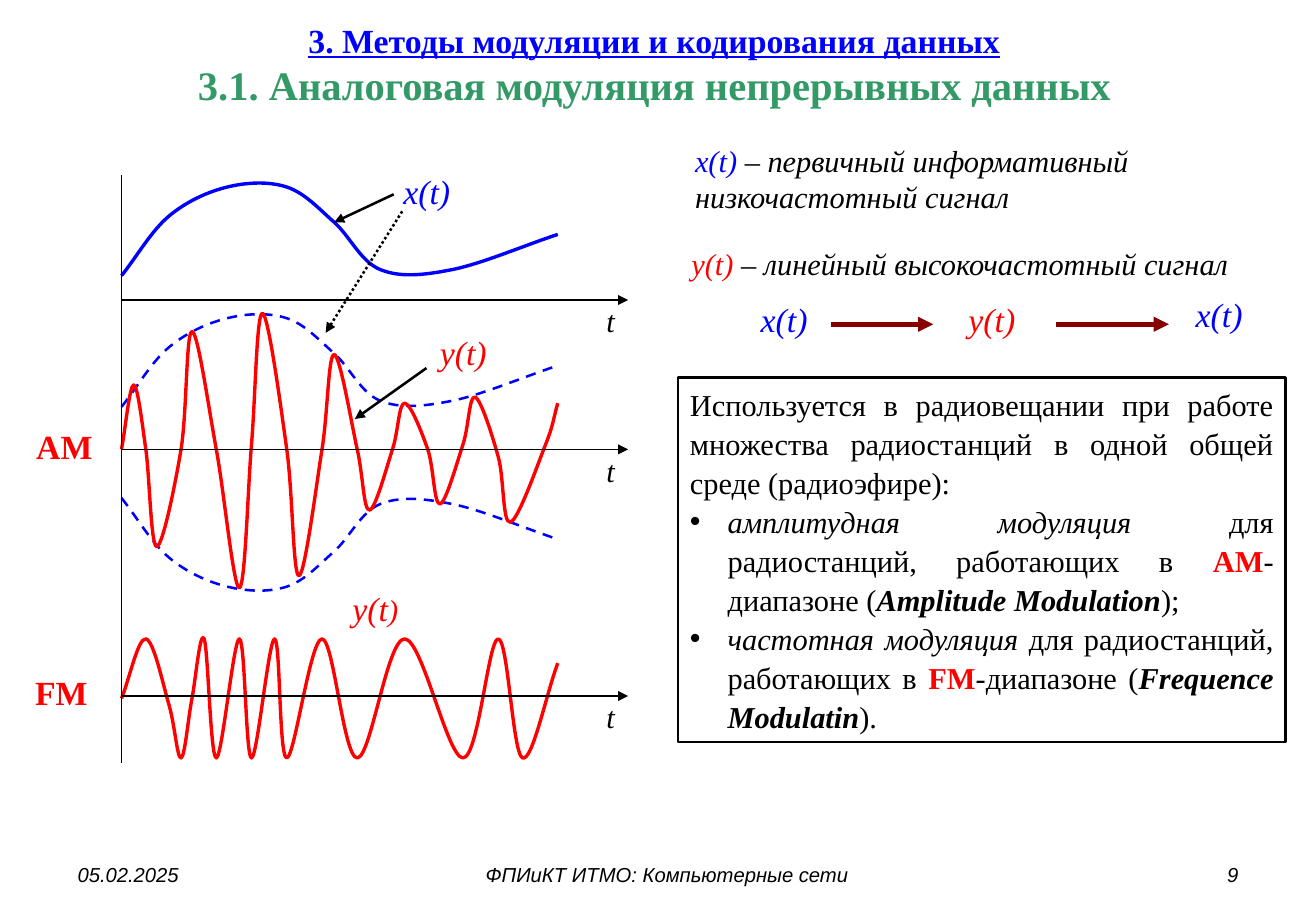
from dataclasses import dataclass

from lxml.etree import SubElement
from pptx import Presentation
from pptx.dml.color import RGBColor
from pptx.enum.dml import MSO_LINE
from pptx.enum.shapes import MSO_CONNECTOR, MSO_SHAPE
from pptx.enum.text import MSO_ANCHOR, MSO_AUTO_SIZE, PP_ALIGN
from pptx.oxml.ns import qn
from pptx.util import Inches, Pt


@dataclass(frozen=True)
class Theme:
    serif: str = "Times New Roman"
    sans: str = "Arial"
    black: str = "000000"
    white: str = "FFFFFF"
    blue: str = "0000FF"
    red: str = "FF0000"
    green: str = "339966"
    maroon: str = "860000"
    heading: int = 24
    label: int = 20
    body: int = 18
    footer: int = 12
    axis_width: float = 0.75
    thin: float = 1.5
    curve: float = 2
    thick: float = 3


THEME = Theme()
TIGHT = (0.02, 0.01)

# Knots: distance along the time axis, height above that axis
PRIMARY = [(0, 0.2), (0.39, 0.69), (0.87, 0.93), (1.36, 0.93),
           (1.75, 0.64), (2.13, 0.25), (2.72, 0.25), (3.59, 0.54)]
AM_WAVE = [(0, 0), (0.1, 0.53), (0.2, 0), (0.29, -0.8), (0.49, 0), (0.58, 0.97),
           (0.78, 0), (0.97, -1.14), (1.07, 0.04), (1.16, 1.12), (1.36, 0),
           (1.46, -1.04), (1.65, 0), (1.75, 0.78), (1.94, 0), (2.04, -0.5),
           (2.23, 0), (2.33, 0.38), (2.52, 0), (2.62, -0.45), (2.81, 0.04),
           (2.91, 0.43), (3.1, -0.06), (3.2, -0.6), (3.49, 0.04), (3.59, 0.38)]
FM_PEAK, FM_TROUGH = 0.47, -0.51
FM_TURNS = [0.68, 0.78, 0.97, 1.07, 1.26, 1.36, 1.65, 1.94, 2.33, 2.81, 3.1, 3.3]
FM_WAVE = [(0, -0.02), (0.2, FM_PEAK), (0.39, -0.07), (0.49, FM_TROUGH), (0.58, -0.02),
           *((x, FM_TROUGH if i % 2 else FM_PEAK) for i, x in enumerate(FM_TURNS)),
           (3.59, 0.27)]


def rgb(color):
    return RGBColor.from_string(color)


def fill_paragraph(paragraph, runs, size, font=THEME.serif, align=PP_ALIGN.LEFT):
    """Each run is (text, colour, style letters out of b, i, u)."""
    paragraph.alignment = align
    for text, color, style in runs:
        run = paragraph.add_run()
        run.text = text
        run.font.name, run.font.size = font, Pt(size)
        run.font.color.rgb = rgb(color)
        run.font.bold, run.font.italic = "b" in style, "i" in style
        run.font.underline = "u" in style


def add_text(slide, box, runs, size, font=THEME.serif, align=PP_ALIGN.LEFT,
             inset=TIGHT, wrap=False, anchor=MSO_ANCHOR.TOP):
    shape = slide.shapes.add_textbox(*map(Inches, box))
    frame = shape.text_frame
    frame.word_wrap, frame.vertical_anchor = wrap, anchor
    frame.margin_left = frame.margin_right = Inches(inset[0])
    frame.margin_top = frame.margin_bottom = Inches(inset[1])
    fill_paragraph(frame.paragraphs[0], runs, size, font, align)
    return frame


def add_line(slide, start, end, color=THEME.black, width=THEME.thin, arrow=True, dash=None):
    line = slide.shapes.add_connector(MSO_CONNECTOR.STRAIGHT, *map(Inches, (*start, *end)))
    line.line.color.rgb, line.line.width = rgb(color), Pt(width)
    if dash:
        line.line.dash_style = dash
    if arrow:
        SubElement(line.line._get_or_add_ln(), qn("a:tailEnd"), type="triangle")
    SubElement(line._element.spPr, qn("a:effectLst"))


def smooth_outline(shape):
    """Turn the straight segments into Bézier curves through the same knots."""
    outline = next(shape._element.iter(qn("a:path")))
    knots = [(int(point.get("x")), int(point.get("y"))) for point in outline.iter(qn("a:pt"))]
    for segment in outline.findall(qn("a:lnTo")):
        outline.remove(segment)
    (x0, y0), (x1, y1) = knots[:2]
    (xm, ym), (xn, yn) = knots[-2:]
    padded = [(2 * x0 - x1, 2 * y0 - y1), *knots, (2 * xn - xm, 2 * yn - ym)]
    for before, start, end, after in zip(padded, padded[1:], padded[2:], padded[3:]):
        leaving = [s + (e - b) / 6 for b, s, e in zip(before, start, end)]
        arriving = [e - (a - s) / 6 for s, e, a in zip(start, end, after)]
        curve = SubElement(outline, qn("a:cubicBezTo"))
        for x, y in (leaving, arriving, end):
            SubElement(curve, qn("a:pt"), x=str(round(x)), y=str(round(y)))


def add_curve(slide, origin, knots, color, width=THEME.curve, dash=None):
    left, axis = origin
    points = [(Inches(left + x), Inches(axis - y)) for x, y in knots]
    builder = slide.shapes.build_freeform(*points[0])
    builder.add_line_segments(points[1:], close=False)
    shape = builder.convert_to_shape()
    smooth_outline(shape)
    shape.shadow.inherit = False
    shape.fill.background()
    shape.line.color.rgb, shape.line.width = rgb(color), Pt(width)
    if dash:
        shape.line.dash_style = dash


def add_title(slide, box):
    frame = add_text(slide, box, [("3. Методы модуляции и кодирования данных", THEME.blue, "bu")],
                     THEME.label, align=PP_ALIGN.CENTER, inset=(0.04, 0), wrap=True,
                     anchor=MSO_ANCHOR.MIDDLE)
    fill_paragraph(frame.add_paragraph(),
                   [("3.1. Аналоговая модуляция непрерывных данных", THEME.green, "b")],
                   THEME.heading, align=PP_ALIGN.CENTER)


def add_plots(slide, box):
    left, top, width, height = box
    primary, am, fm = [(left, top + drop) for drop in (1.03, 2.26, 4.29)]

    # Frequency modulation, amplitude modulation with its envelope, primary signal
    add_curve(slide, fm, FM_WAVE, THEME.red)
    for sign, gap in ((1, 0.15), (-1, 0.2)):
        envelope = [(x, sign * (y + gap)) for x, y in PRIMARY]
        add_curve(slide, am, envelope, THEME.blue, THEME.thin, MSO_LINE.DASH)
    add_curve(slide, am, AM_WAVE, THEME.red)
    add_curve(slide, primary, PRIMARY, THEME.blue)

    # Axes
    add_line(slide, (left, top), (left, top + height), width=THEME.axis_width, arrow=False)
    for _, axis in (primary, am, fm):
        add_line(slide, (left, axis), (left + width, axis), width=THEME.axis_width)
        add_text(slide, (left + width - 0.2, axis + 0.01, 0.19, 0.33),
                 [("t", THEME.black, "i")], THEME.body)

    # Curve labels and their pointers
    for x, y, text, color in ((2.3, -0.04, "x(t)", THEME.blue),
                              (2.6, 1.28, "y(t)", THEME.red)):
        add_text(slide, (left + x, top + y, 0.47, 0.36), [(text, color, "i")], THEME.label)
    fm_label = add_text(slide, (left + 1.88, top + 3.39, 0.43, 0.36),
                        [("y(t", THEME.red, "i"), (")", THEME.red, "i")], THEME.label)
    fm_label.paragraphs[0].runs[1].font.size = Pt(THEME.body)
    for x1, y1, x2, y2, dash in ((2.24, 0.16, 1.75, 0.39, None),
                                 (2.31, 0.3, 1.68, 1.3, MSO_LINE.ROUND_DOT),
                                 (2.51, 1.59, 1.92, 2.01, None)):
        add_line(slide, (left + x1, top + y1), (left + x2, top + y2), dash=dash)

    # Row names
    for x, y, name_width, text in ((-0.84, 2.02, 0.74, "АМ"), (-0.8, 4.04, 0.61, "FМ")):
        add_text(slide, (left + x, top + y, name_width, 0.44), [(text, THEME.red, "b")],
                 THEME.label, align=PP_ALIGN.CENTER, inset=(0.04, 0.05))


def add_definitions(slide, box):
    left, top, width, _ = box
    add_text(slide, (left, top, width, 0.63),
             [("x(t) ", THEME.blue, "i"),
              ("– первичный информативный низкочастотный сигнал", THEME.black, "i")],
             THEME.body, wrap=True)
    add_text(slide, (left - 0.03, top + 0.85, 4.74, 0.33),
             [("y(t)", THEME.red, "i"),
              (" – линейный высокочастотный сигнал", THEME.black, "i")], THEME.body)

    # Signal chain
    for x, y, text, color in ((0.54, 1.29, "x(t)", THEME.blue),
                              (2.25, 1.29, "y(t)", THEME.red),
                              (4.12, 1.25, "x(t)", THEME.blue)):
        add_text(slide, (left + x, top + y, 0.52, 0.36), [(text, color, "i")], THEME.label)
    for start, end in ((1.14, 1.98), (2.99, 3.92)):
        add_line(slide, (left + start, top + 1.51), (left + end, top + 1.51),
                 THEME.maroon, THEME.thick)


def add_usage_box(slide, box):
    shape = slide.shapes.add_shape(MSO_SHAPE.RECTANGLE, *map(Inches, box))
    shape.shadow.inherit = False
    shape.fill.solid()
    shape.fill.fore_color.rgb = rgb(THEME.white)
    shape.line.color.rgb, shape.line.width = rgb(THEME.black), Pt(THEME.thin)
    frame = shape.text_frame
    frame.word_wrap, frame.vertical_anchor = True, MSO_ANCHOR.TOP
    frame.auto_size = MSO_AUTO_SIZE.SHAPE_TO_FIT_TEXT
    intro = frame.paragraphs[0]
    fill_paragraph(intro, [("Используется в радиовещании при работе множества радиостанций "
                            "в одной общей среде (радиоэфире):", THEME.black, "")],
                   THEME.body, align=PP_ALIGN.JUSTIFY)
    intro.line_spacing = 1.07
    for kind, band, english, ending in (("амплитудная", "АМ", "Amplitude Modulation", ");"),
                                        ("частотная", "FM", "Frequence Modulatin", ").")):
        paragraph = frame.add_paragraph()
        properties = paragraph._p.get_or_add_pPr()
        properties.set("marL", str(Inches(0.31)))
        properties.set("indent", str(-Inches(0.31)))
        SubElement(properties, qn("a:buFont"), typeface=THEME.sans)
        SubElement(properties, qn("a:buChar"), char="•")
        paragraph.line_spacing = 1.07
        fill_paragraph(paragraph, [(f"{kind} модуляция", THEME.black, "i"),
                                   (" для радиостанций, работающих в ", THEME.black, ""),
                                   (band, THEME.red, "b"), ("-диапазоне (", THEME.black, ""),
                                   (english, THEME.black, "bi"), (ending, THEME.black, "")],
                       THEME.body, align=PP_ALIGN.JUSTIFY)


def add_footer(slide, box):
    left, top, _, height = box
    for x, width, text, align in ((0, 2.53, "05.02.2025", PP_ALIGN.LEFT),
                                  (2.81, 4.28, "ФПИиКТ ИТМО: Компьютерные сети", PP_ALIGN.CENTER),
                                  (7.22, 2.53, "9", PP_ALIGN.RIGHT)):
        add_text(slide, (left + x, top, width, height), [(text, THEME.black, "i")],
                 THEME.footer, THEME.sans, align, inset=(0.1, 0.05), wrap=True)


def main():
    presentation = Presentation()
    presentation.slide_width, presentation.slide_height = Inches(10.83), Inches(7.5)
    slide = presentation.slides.add_slide(presentation.slide_layouts[6])
    add_title(slide, (0.18, 0.16, 10.41, 0.74))
    add_plots(slide, (1, 1.44, 4.17, 4.84))
    add_usage_box(slide, (5.58, 3.11, 5, 3))
    add_definitions(slide, (5.7, 1.16, 4.87, 1.7))
    add_footer(slide, (0.54, 7.05, 9.75, 0.3))
    presentation.save("out.pptx")


if __name__ == "__main__":
    main()
